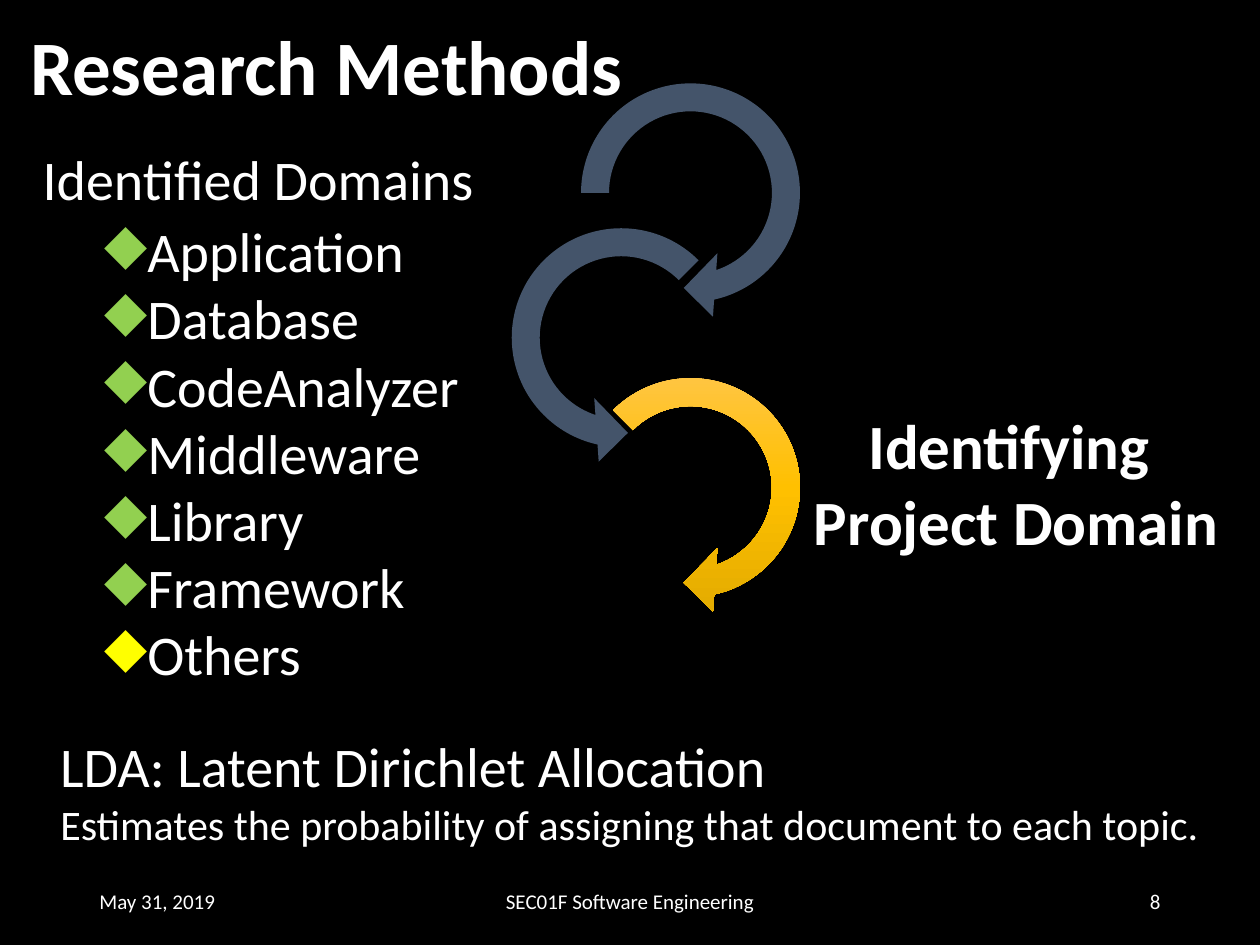
from copy import deepcopy

from lxml import etree
from pptx import Presentation
from pptx.dml.color import RGBColor
from pptx.enum.shapes import MSO_SHAPE as Shape
from pptx.enum.text import MSO_ANCHOR as Anchor, MSO_AUTO_SIZE as AutoSize, PP_ALIGN as Align
from pptx.oxml.ns import qn
from pptx.util import Inches, Pt

WHITE, SLATE, GREEN, YELLOW = "FFFFFF", "44546A", "92D050", "FFFF00"
GOLD_STOPS = [(0, "FFC64B"), (0.5, "FFC000"), (1, "E3AB00")]


def color(hex_string):
    return RGBColor.from_string(hex_string)


def add_text(left, top, width, height, lines, size, bold=False, align=Align.LEFT, footer=False):
    """Add white text, one paragraph a line; footers wrap and sit mid-height."""
    box = slide.shapes.add_textbox(Inches(left), Inches(top), Inches(width), Inches(height))
    frame = box.text_frame
    frame.word_wrap = footer
    frame.auto_size = AutoSize.NONE if footer else AutoSize.SHAPE_TO_FIT_TEXT
    frame.vertical_anchor = Anchor.MIDDLE if footer else Anchor.TOP
    frame.text = "\n".join(lines)
    for para in frame.paragraphs:
        para.alignment = align
        for span in para.runs:
            span.font.name = "Calibri"
            span.font.size = Pt(size)
            span.font.bold = bold
            span.font.color.rgb = color(WHITE)
    return box


deck = Presentation()
deck.slide_width, deck.slide_height = Inches(10), Inches(7.5)
slide = deck.slides.add_slide(deck.slide_layouts[6])
slide.background.fill.solid()
slide.background.fill.fore_color.rgb = color("000000")

# Title, arrow label and footer
add_text(6.34, 3.18, 3.45, 1.31, ["Identifying ", "Project Domain"], 36, True, Align.CENTER)
add_text(0.14, 0.1, 4.95, 0.84, ["Research Methods"], 44, True)
for left, width, text, align in [
    (0.69, 2.25, "May 31, 2019", Align.LEFT),
    (3.31, 3.38, "SEC01F Software Engineering", Align.CENTER),
    (7.06, 2.25, "8", Align.RIGHT),
]:
    add_text(left, 6.95, width, 0.4, [text], 12, align=align, footer=True)

# Chain of circular arrows; the last one is the highlighted step
arrows = []
for kind, left, top, end_angle, start_angle in [
    (Shape.LEFT_CIRCULAR_ARROW, 3.92, 1.67, 63, 189),
    (Shape.CIRCULAR_ARROW, 4.47, 0.52, 45, 108),
    (Shape.CIRCULAR_ARROW, 4.47, 2.86, 45, 135),
]:
    arrow = slide.shapes.add_shape(kind, Inches(left), Inches(top), Inches(2.02), Inches(2.02))
    for index, value in enumerate([0.11, 11.423, end_angle, start_angle, 0.125]):
        arrow.adjustments[index] = value
    arrow.shadow.inherit = False
    arrow.line.fill.background()
    arrow.fill.solid()
    arrow.fill.fore_color.rgb = color(SLATE)
    arrows.append(arrow)

gold = arrows[-1].fill
gold.gradient()
gold.gradient_angle = 270
stop_list = arrows[-1]._element.spPr.find(".//" + qn("a:gsLst"))
stop_list.append(deepcopy(stop_list[0]))
for stop, (position, hex_string) in zip(gold.gradient_stops, GOLD_STOPS):
    stop.position = position
    stop.color.rgb = color(hex_string)

# Domain list
add_text(0.24, 1.1, 3.67, 0.64, ["Identified Domains"], 32)
domains = ["Application", "Database", "CodeAnalyzer", "Middleware", "Library", "Framework", "Others"]
domain_box = add_text(0.73, 1.67, 3.14, 3.87, domains, 32)
for para in domain_box.text_frame.paragraphs:
    properties = para._p.get_or_add_pPr()
    properties.set("marL", str(Inches(0.31)))
    properties.set("indent", str(-Inches(0.31)))
    bullet_color = etree.SubElement(properties, qn("a:buClr"))
    hex_string = YELLOW if para.text == "Others" else GREEN
    etree.SubElement(bullet_color, qn("a:srgbClr"), val=hex_string)
    etree.SubElement(properties, qn("a:buChar"), char="◆")

# Method note
add_text(0.38, 5.76, 5.87, 0.64, ["LDA: Latent Dirichlet Allocation"], 32)
add_text(0.38, 6.29, 9.32, 0.5,
         ["Estimates the probability of assigning that document to each topic."], 24)

deck.save("out.pptx")
